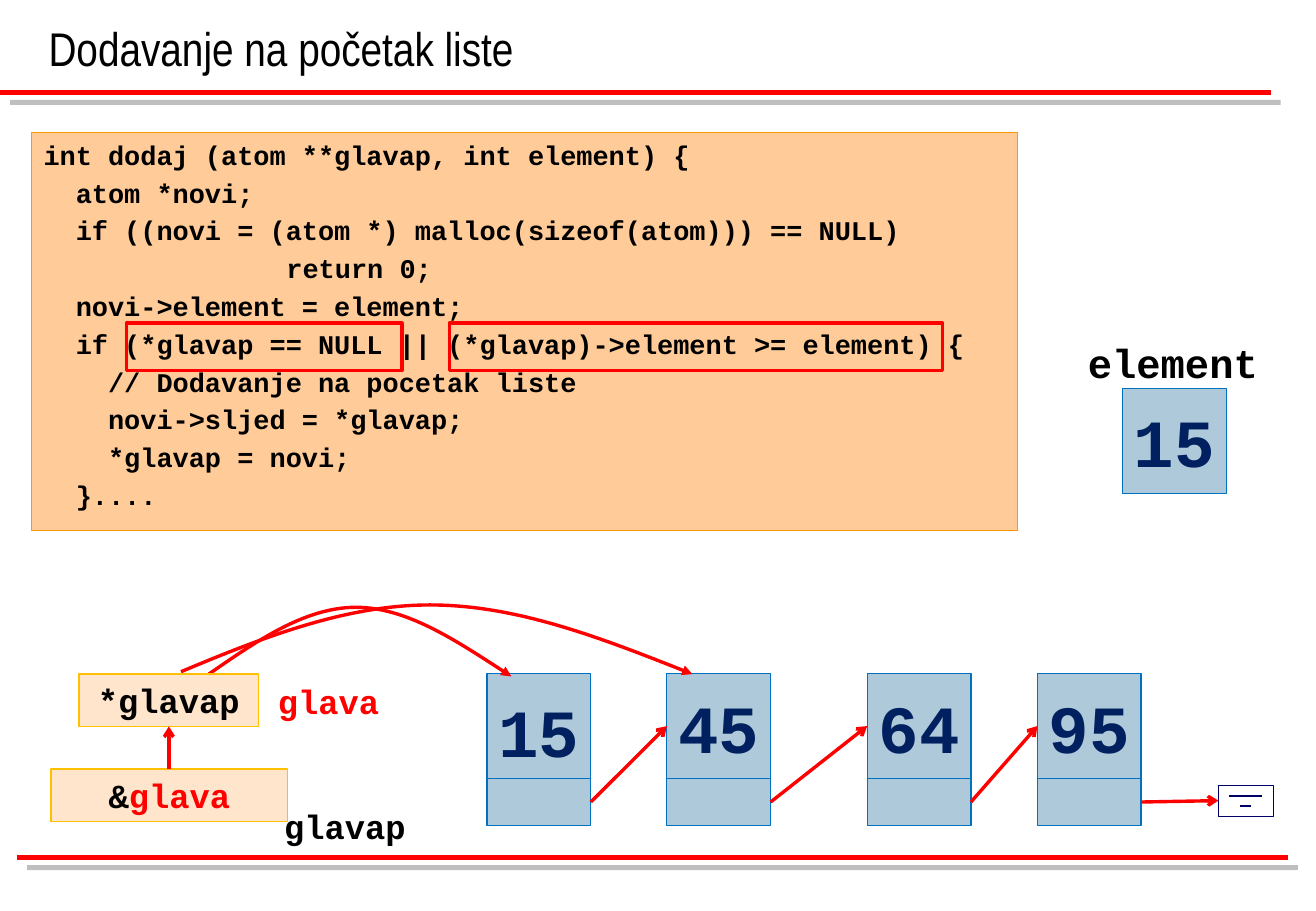
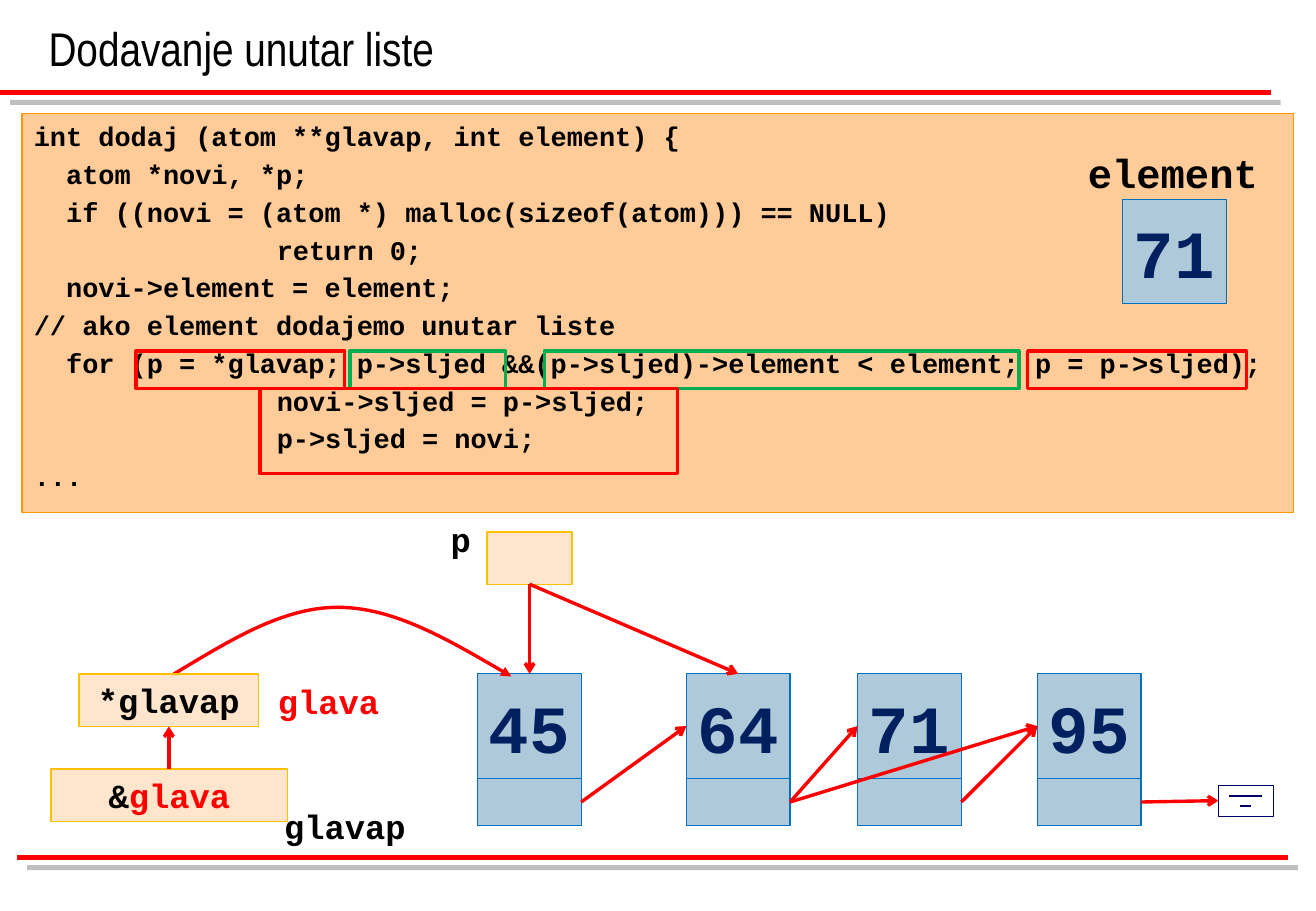
from dataclasses import dataclass
from itertools import pairwise
from typing import Any

import lxml.etree
import pptx
import pptx.dml.color
import pptx.enum.shapes
import pptx.enum.text
import pptx.oxml.ns
import pptx.util

COLORS = {
    "red": "FF0000",
    "green": "00B050",
    "black": "000000",
    "navy": "002060",
    "ground": "000066",
    "node": "AEC9DA",
    "node_edge": "0070C0",
    "code": "FFCC99",
    "code_edge": "FF9900",
    "pointer_edge": "FFC000",
    "shadow": "808080",
}
MONO = "Courier New"
TITLE_FONT = "Arial Narrow"
CODE_SIZE, CODE_GAP = 16, 3.2
NODE_TOP, NODE_WIDTH, VALUE_HEIGHT, LINK_HEIGHT = 399.4, 61.5, 62, 28
ENTRY_Y = NODE_TOP + VALUE_HEIGHT / 2
EXIT_Y = NODE_TOP + VALUE_HEIGHT + LINK_HEIGHT / 2
GROUND_X, GROUND_Y = 722.2, 465.8

Pt = pptx.util.Pt
qn = pptx.oxml.ns.qn
Point = tuple[float, float]


@dataclass(frozen=True)
class Box:
    left: float
    top: float
    width: float
    height: float


@dataclass(frozen=True)
class Node:
    value: str
    left: float
    value_drop: float = 0


@dataclass(frozen=True)
class Highlight:
    area: Box
    color: str = "red"


@dataclass(frozen=True)
class Curve:
    start: Point
    controls: tuple[Point, ...]


@dataclass(frozen=True)
class Lesson:
    title: str
    code: str
    code_area: Box
    highlights: tuple[Highlight, ...]
    element_value: str
    element_top: float
    nodes: tuple[Node, ...]
    curves: tuple[Curve, ...]


def rgb(color: str) -> Any:
    return pptx.dml.color.RGBColor.from_string(COLORS[color])


def add_run(paragraph: Any, text: str, size: float, color: str,
            font: str = MONO, bold: bool = True) -> None:
    run = paragraph.add_run()
    run.text = text
    run.font.size, run.font.name, run.font.bold = Pt(size), font, bold
    run.font.color.rgb = rgb(color)


def add_box(shapes: Any, area: Box, fill: str | None, edge: str,
            weight: float = 0.75, alpha: int | None = None) -> Any:
    box = shapes.add_shape(
        pptx.enum.shapes.MSO_SHAPE.RECTANGLE,
        Pt(area.left), Pt(area.top), Pt(area.width), Pt(area.height))
    box.shadow.inherit = False
    if fill:
        box.fill.solid()
        box.fill.fore_color.rgb = rgb(fill)
        if alpha:
            tint = box.element.spPr.find(".//" + qn("a:srgbClr"))
            lxml.etree.SubElement(tint, qn("a:alpha"), val=str(alpha * 1000))
    else:
        box.fill.background()
    box.line.color.rgb = rgb(edge)
    box.line.width = Pt(weight)
    return box


def center_text(holder: Any, size: float, *runs: tuple[str, str], drop: float = 0) -> None:
    frame = holder.text_frame
    frame.word_wrap = True
    frame.margin_left = frame.margin_right = frame.margin_bottom = 0
    frame.margin_top = Pt(2 * drop)
    frame.vertical_anchor = pptx.enum.text.MSO_ANCHOR.MIDDLE
    paragraph = frame.paragraphs[0]
    paragraph.alignment = pptx.enum.text.PP_ALIGN.CENTER
    for text, color in runs:
        add_run(paragraph, text, size, color)


def add_label(shapes: Any, text: str, area: Box, size: float = 20,
              color: str = "black") -> None:
    label = shapes.add_textbox(
        Pt(area.left), Pt(area.top), Pt(area.width), Pt(area.height))
    center_text(label, size, (text, color))


def add_head(stroke: Any, kind: str) -> None:
    lxml.etree.SubElement(stroke.element.spPr.find(qn("a:ln")), qn("a:tailEnd"), type=kind)


def add_line(shapes: Any, start: Point, end: Point, color: str = "red",
             weight: float = 2, arrow: bool = False) -> Any:
    line = shapes.add_connector(
        pptx.enum.shapes.MSO_CONNECTOR.STRAIGHT, *(Pt(v) for v in start + end))
    line.line.color.rgb = rgb(color)
    line.line.width = Pt(weight)
    if arrow:
        add_head(line, "arrow")
    lxml.etree.SubElement(line.element.spPr, qn("a:effectLst"))
    return line


def add_curve(shapes: Any, curve: Curve) -> None:
    builder = shapes.build_freeform(*(Pt(v) for v in curve.start))
    builder.add_line_segments([(Pt(x), Pt(y)) for x, y in curve.controls], close=False)
    arc = builder.convert_to_shape()
    arc.shadow.inherit = False
    arc.fill.background()
    arc.line.color.rgb = rgb("red")
    arc.line.width = Pt(2)
    add_head(arc, "triangle")
    outline = arc.element.find(".//" + qn("a:path"))
    segments = outline.findall(qn("a:lnTo"))
    for first in range(0, len(segments), 3):
        bezier = lxml.etree.SubElement(outline, qn("a:cubicBezTo"))
        for segment in segments[first:first + 3]:
            bezier.append(segment[0])
            outline.remove(segment)


def add_code(shapes: Any, code: str, area: Box) -> None:
    frame = add_box(shapes, area, "code", "code_edge").text_frame
    frame.word_wrap = True
    frame.vertical_anchor = pptx.enum.text.MSO_ANCHOR.TOP
    frame.margin_left, frame.margin_right = Pt(7.2), 0
    frame.margin_top = Pt(3.6)
    for number, text in enumerate(code.split("\n")):
        paragraph = frame.add_paragraph() if number else frame.paragraphs[0]
        paragraph.alignment = pptx.enum.text.PP_ALIGN.LEFT
        if number:
            paragraph.space_before = Pt(CODE_GAP)
        if text.startswith("\t"):
            stops = lxml.etree.SubElement(paragraph._p.get_or_add_pPr(), qn("a:tabLst"))
            for stop in (72, 144):
                lxml.etree.SubElement(stops, qn("a:tab"), pos=str(Pt(stop)), algn="l")
        add_run(paragraph, text, CODE_SIZE, "black")


def add_value(shapes: Any, node: Node, top: float) -> None:
    cell = add_box(shapes, Box(node.left, top, NODE_WIDTH, VALUE_HEIGHT), "node", "node_edge")
    center_text(cell, 40, (node.value, "navy"), drop=node.value_drop)


def add_link(shapes: Any, source: Node, target: Point) -> None:
    add_line(shapes, (source.left + NODE_WIDTH, EXIT_Y), target, arrow=True)


def add_list(shapes: Any, nodes: tuple[Node, ...]) -> None:
    for node in nodes:
        add_box(shapes, Box(node.left, NODE_TOP + VALUE_HEIGHT, NODE_WIDTH, LINK_HEIGHT),
                "node", "node_edge")
        add_value(shapes, node, NODE_TOP)
    for source, target in pairwise(nodes):
        add_link(shapes, source, (target.left, ENTRY_Y))
    ground = shapes.add_group_shape().shapes
    for step in range(3):
        inset, y = 6.5 * step, GROUND_Y + 6 * step
        add_line(ground, (GROUND_X + inset, y), (GROUND_X + 32.5 - inset, y), "ground", 0.75)
    add_box(ground, Box(GROUND_X, GROUND_Y, 32.5, 18), None, "ground")
    add_link(shapes, nodes[-1], (GROUND_X, 474.6))


def add_head_pointers(shapes: Any) -> None:
    for area, runs in (
        (Box(46.8, 399.6, 106.6, 31), (("*glavap", "black"),)),
        (Box(30.2, 455.8, 140.4, 31), (("&", "black"), ("glava", "red"))),
    ):
        pointer = add_box(shapes, area, "code", "pointer_edge", alpha=50)
        center_text(pointer, 20, *runs)
    add_line(shapes, (100.1, 455.8), (100.1, 430.6), arrow=True)
    add_label(shapes, "glavap", Box(161.3, 474, 86.4, 31))
    add_label(shapes, "glava", Box(157.7, 400.3, 74.2, 31), color="red")


def add_rules(slide: Any) -> None:
    for left, y in ((0, 54.7), (10.1, 508.3)):
        rule = add_line(slide.shapes, (left, y), (left + 753.1, y), weight=3)
        shadow = lxml.etree.SubElement(
            rule.element.spPr.find(qn("a:effectLst")), qn("a:outerShdw"),
            dist=str(Pt(8.5)), dir="2700000", algn="ctr", rotWithShape="0")
        tint = lxml.etree.SubElement(shadow, qn("a:srgbClr"), val=COLORS["shadow"])
        lxml.etree.SubElement(tint, qn("a:alpha"), val="50000")
        slide.slide_layout.shapes.element.append(rule.element)


def add_title(slide: Any, text: str) -> None:
    title = slide.shapes.title
    title.left, title.top, title.width, title.height = Pt(21.6), 0, Pt(731.5), Pt(48.6)
    frame = title.text_frame
    frame.vertical_anchor = pptx.enum.text.MSO_ANCHOR.BOTTOM
    frame.auto_size = pptx.enum.text.MSO_AUTO_SIZE.NONE
    frame.paragraphs[0].alignment = pptx.enum.text.PP_ALIGN.LEFT
    add_run(frame.paragraphs[0], text, 28, "black", TITLE_FONT, False)


def add_lesson(slide: Any, lesson: Lesson) -> None:
    shapes = slide.shapes
    add_title(slide, lesson.title)
    add_code(shapes, lesson.code, lesson.code_area)
    for mark in lesson.highlights:
        add_box(shapes, mark.area, None, mark.color, 2)
    element = shapes.add_group_shape().shapes
    add_value(element, Node(lesson.element_value, 665.3), lesson.element_top)
    add_label(element, "element", Box(637.2, lesson.element_top - 33.8, 115.9, 36), 24)
    add_list(shapes, lesson.nodes)
    for curve in lesson.curves:
        add_curve(shapes, curve)
    add_head_pointers(shapes)


def add_walker(shapes: Any, nodes: tuple[Node, ...]) -> None:
    add_label(shapes, "p", Box(259.9, 303.8, 26.6, 31))
    add_box(shapes, Box(288.7, 315.4, 50.4, 31), "code", "pointer_edge", alpha=50)
    for x in (313.9, nodes[1].left + NODE_WIDTH / 2):
        add_line(shapes, (313.9, 346.3), (x, NODE_TOP), arrow=True)
    add_link(shapes, nodes[1], (nodes[3].left, ENTRY_Y))


START = Lesson(
    "Dodavanje na početak liste",
    """int dodaj (atom **glavap, int element) {
  atom *novi;
  if ((novi = (atom *) malloc(sizeof(atom))) == NULL)
\t\treturn 0;
  novi->element = element;
  if (*glavap == NULL || (*glavap)->element >= element) {
    // Dodavanje na pocetak liste
    novi->sljed = *glavap;
    *glavap = novi;
  }....""",
    Box(18.7, 78.5, 584.6, 236.2),
    tuple(Highlight(Box(x, 191.5, w, 28.1)) for x, w in ((74.9, 163.4), (266.4, 292.3))),
    "15", 230.4,
    (Node("15", 288.7, 2.5), Node("45", 395.3), Node("64", 514), Node("95", 614.9)),
    (Curve((107.3, 398.2), ((155.5, 378), (204.5, 358.6), (254.9, 358.6),
                            (305.3, 358.6), (357.8, 378.7), (410.4, 399.6))),
     Curve((123.8, 399.6), ((151.9, 380.2), (180.7, 360), (211, 360),
                            (240.5, 360), (272.2, 380.9), (303.1, 401)))),
)
INSIDE = Lesson(
    "Dodavanje unutar liste",
    """int dodaj (atom **glavap, int element) {
  atom *novi, *p;
  if ((novi = (atom *) malloc(sizeof(atom))) == NULL)
\t\treturn 0;
  novi->element = element;
// ako element dodajemo unutar liste
  for (p = *glavap; p->sljed &&(p->sljed)->element < element; p = p->sljed);
\t\tnovi->sljed = p->sljed;
\t\tp->sljed = novi;
...""",
    Box(13, 67.4, 753.8, 236.2),
    tuple(Highlight(Box(x, 208.1, w, 22.3), color) for x, w, color in (
        (80.6, 123.8, "red"), (207.4, 92.2, "green"),
        (322.6, 281.5, "green"), (609.1, 129.6, "red"),
    )) + (Highlight(Box(154.1, 230.4, 247.7, 50.4)),),
    "71", 118.1,
    (Node("45", 283), Node("64", 406.8), Node("71", 508.3, 0.5), Node("95", 614.9)),
    (Curve((103, 399.6), ((135.4, 380.2), (167, 360), (200.2, 360),
                          (233.3, 360), (268.6, 380.9), (303.1, 401))),),
)


def main() -> None:
    deck = pptx.Presentation()
    deck.slide_width, deck.slide_height = Pt(780), Pt(540)
    start, inside = (deck.slides.add_slide(deck.slide_layouts[5]) for _ in range(2))
    add_rules(start)
    add_lesson(start, START)
    add_lesson(inside, INSIDE)
    add_walker(inside.shapes, INSIDE.nodes)
    deck.save("out.pptx")


if __name__ == "__main__":
    main()
